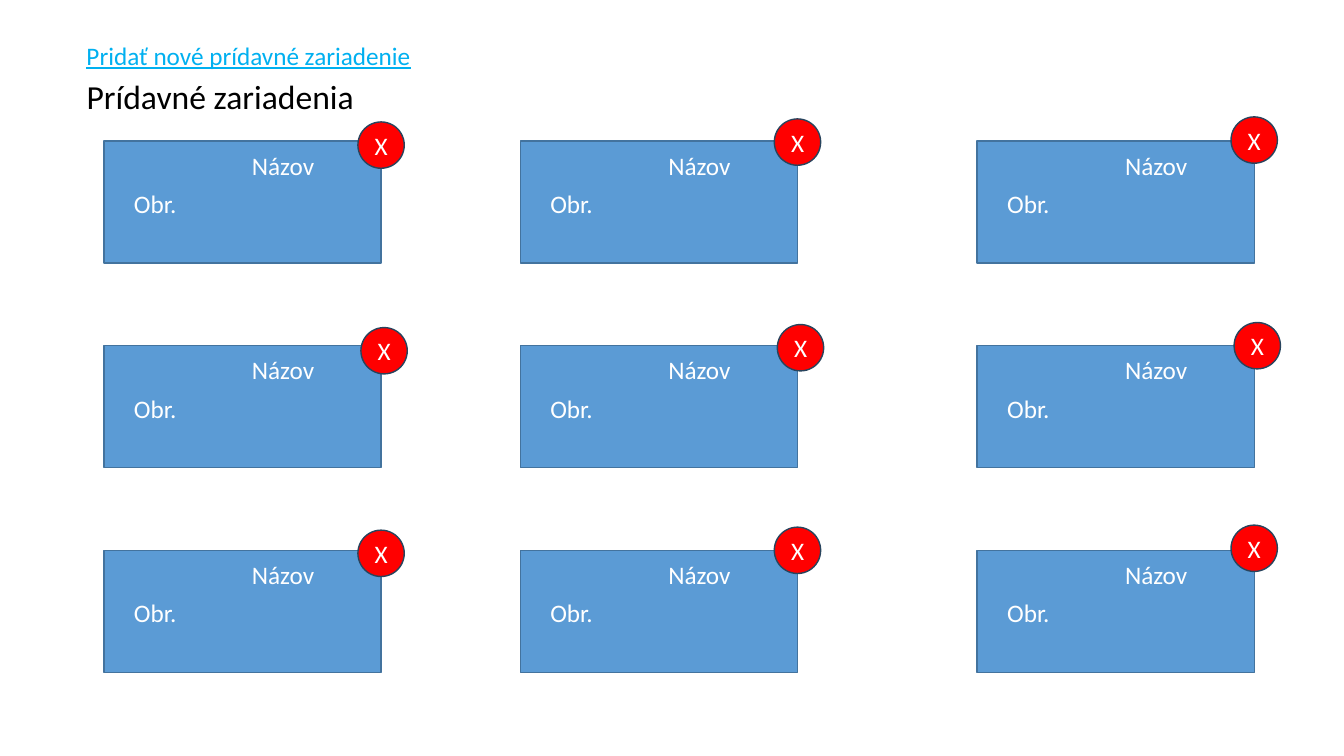
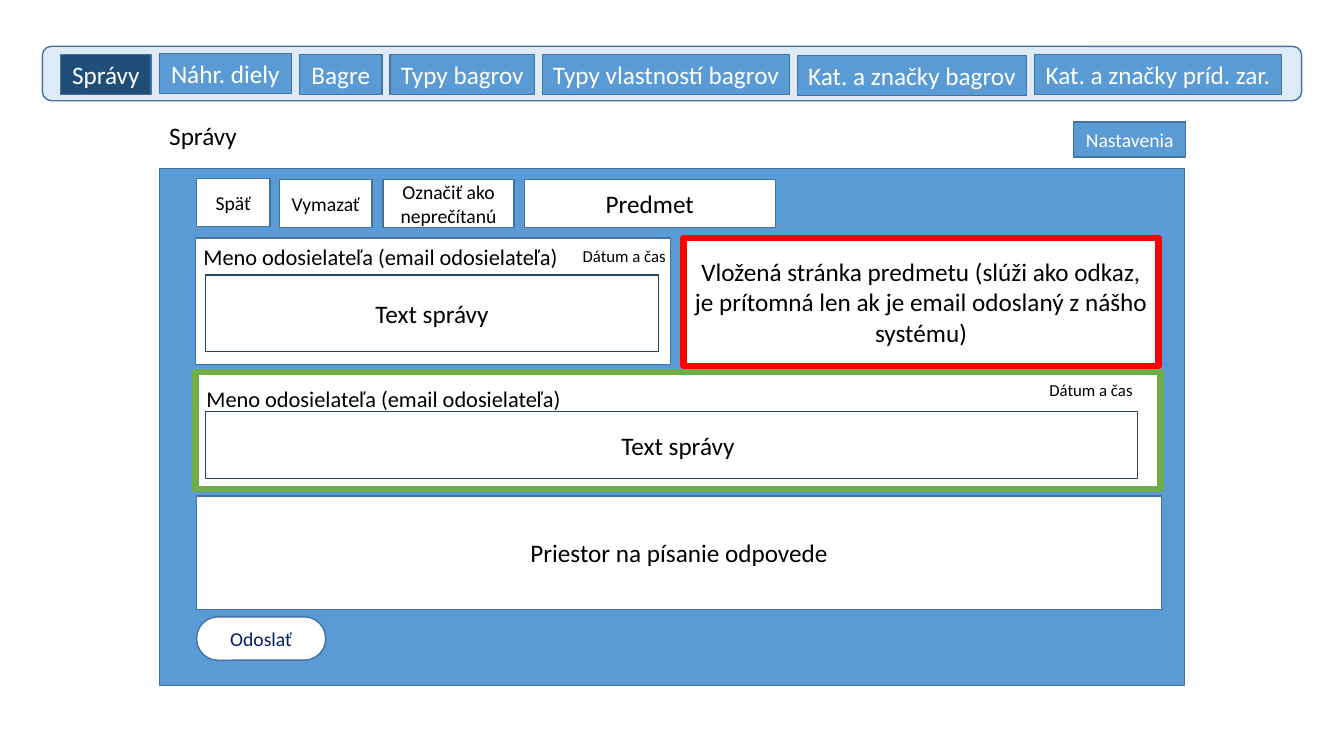
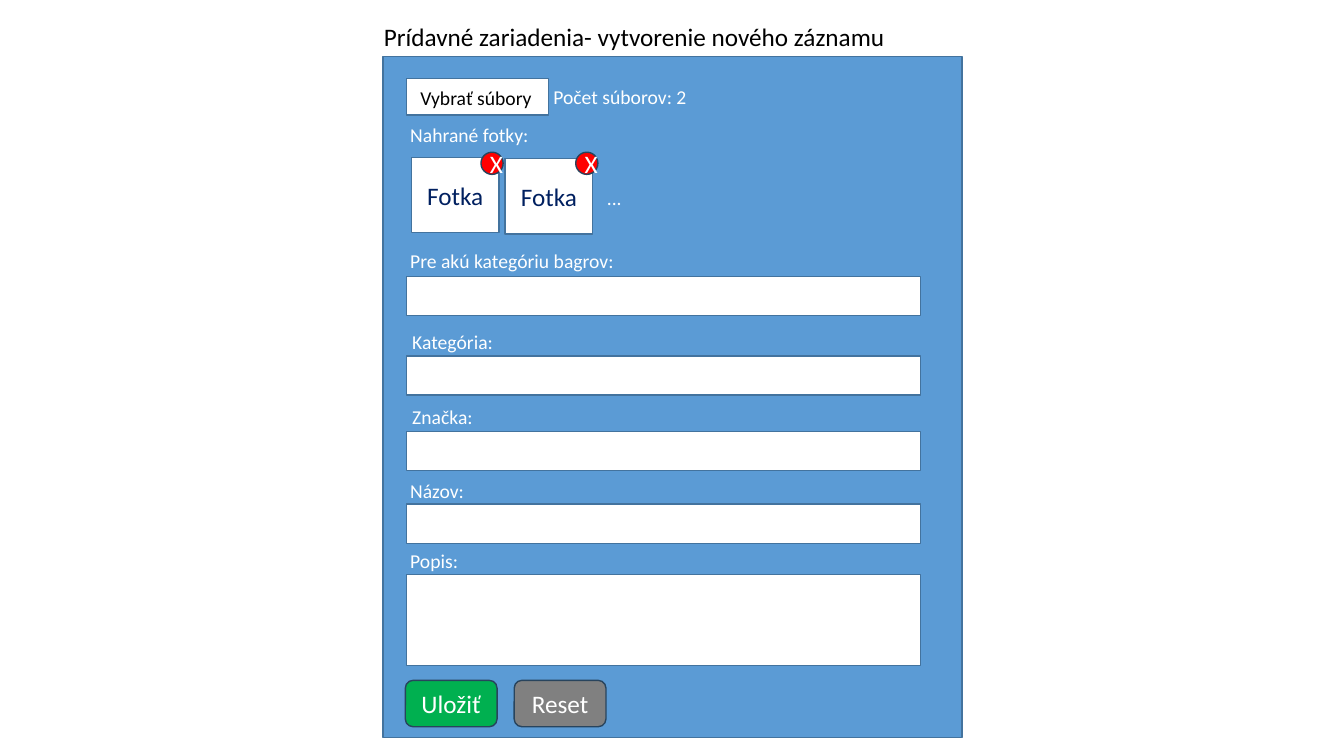
"""Build three wireframe slides of an excavator administration site."""
import pptx
import pptx.dml.color
import pptx.enum.shapes
import pptx.enum.text
import pptx.util

PX = 9144
BLUE, NAVY, PALE, WHITE, BLACK = "5B9BD5", "1F4E79", "DEEBF7", "FFFFFF", "000000"
RED, GREEN, LEAF, GREY, INK, SKY = "FF0000", "00B050", "70AD47", "808080", "002060", "00B0F0"
EDGE, DARK_EDGE = "43739E", "28445D"
SHAPES = pptx.enum.shapes.MSO_SHAPE


def rgb(value):
    """Turn a hex string into a colour."""
    return pptx.dml.color.RGBColor.from_string(value)


def assign(target, values):
    """Set every value of a dict as an attribute of the target."""
    for name, value in values.items():
        setattr(target, name, value)


class Wireframe:
    """Hold the deck, its style and the current slide."""

    def __init__(self, width, height):
        """Start an empty deck of the given size."""
        self.deck = pptx.Presentation()
        assign(self.deck, {"slide_width": width * PX, "slide_height": height * PX})
        self.page = None

    def add_page(self):
        """Add a blank slide and make it current."""
        self.page = self.deck.slides.add_slide(self.deck.slide_layouts[6])

    def add_text(self, box, text, size, color, align, **font):
        """Put one formatted line of text into a box."""
        para = box.text_frame.paragraphs[0]
        para.alignment = align
        span = para.add_run()
        span.text = text
        assign(span.font, {"name": "Calibri", "size": pptx.util.Pt(size), **font})
        span.font.color.rgb = rgb(color)

    def shape(self, left, top, width, height, text="", size=18, color=WHITE, fill=BLUE,
              edge=EDGE, weight=1, kind=SHAPES.RECTANGLE, **frame):
        """Draw an outlined shape with optional centred text."""
        box = self.page.shapes.add_shape(kind, left * PX, top * PX, width * PX, height * PX)
        box.shadow.inherit = False
        if fill:
            box.fill.solid()
            box.fill.fore_color.rgb = rgb(fill)
        else:
            box.fill.background()
        box.line.color.rgb = rgb(edge)
        box.line.width = pptx.util.Pt(weight)
        if text:
            assign(box.text_frame, {
                "word_wrap": True, "vertical_anchor": pptx.enum.text.MSO_ANCHOR.MIDDLE, **frame})
            self.add_text(box, text, size, color, pptx.enum.text.PP_ALIGN.CENTER)
        return box

    def label(self, left, top, width, height, text, size=18, color=BLACK, wrap=False, **font):
        """Place a line of plain text."""
        box = self.page.shapes.add_textbox(left * PX, top * PX, width * PX, height * PX)
        assign(box.text_frame, {
            "word_wrap": wrap, "auto_size": pptx.enum.text.MSO_AUTO_SIZE.SHAPE_TO_FIT_TEXT})
        self.add_text(box, text, size, color, pptx.enum.text.PP_ALIGN.LEFT, **font)

    def panel(self, left, top, width, height, text="", size=18, color=BLACK, **style):
        """Draw a white box with dark text."""
        return self.shape(left, top, width, height, text, size, color, fill=WHITE, **style)

    def remove_badge(self, left, top, size):
        """Draw a round red remove button."""
        self.shape(left, top, size, size, "X", fill=RED, edge=DARK_EDGE, kind=SHAPES.OVAL)

    def device_card(self, left, top):
        """Draw a device card with its picture and name captions."""
        self.shape(left, top, 275, 121)
        self.label(left + 20, top + 42, 118, 40, "Obr.", color=WHITE, wrap=True)
        self.label(left + 137, top + 4, 118, 40, "Názov", color=WHITE, wrap=True)

    def tabs(self, left, gap, tabs):
        """Draw a row of navigation tabs with equal gaps."""
        for text, top, width, fill in tabs:
            self.shape(left, top, width, 40, text, fill=fill)
            left += width + gap

    def field(self, label, label_left, label_top, label_width, top, height=39):
        """Draw a captioned empty form field."""
        self.panel(403, top, 510, height)
        self.label(label_left, label_top, label_width, 34, label, 14, WHITE)


def device_list(frame):
    """Build the overview of additional devices."""
    frame.add_page()
    for row, (shift, nudge) in enumerate([(0, 0), (3, 1), (0, -1)]):
        for left, rise in [(103, 19), (516, 22), (969, 24)]:
            top = 140 + row * 203
            frame.device_card(left, top)
            frame.remove_badge(left + 252 + shift, top - rise + nudge, 46)
    frame.label(76, 70, 288, 50, "Prídavné zariadenia", 24)
    frame.label(76, 35, 346, 40, "Pridať nové prídavné zariadenie", color=SKY, underline=True)


def message_detail(frame):
    """Build the message view with its navigation."""
    frame.add_page()
    frame.shape(42, 46, 1249, 54, fill=PALE, kind=SHAPES.ROUNDED_RECTANGLE)
    frame.tabs(60, 8, [
        ("Správy", 54, 90, NAVY), ("Náhr. diely", 53, 131, BLUE), ("Bagre", 54, 82, BLUE),
        ("Typy bagrov", 54, 143, BLUE), ("Typy vlastností bagrov", 54, 245, BLUE),
        ("Kat. a značky bagrov", 55, 227, BLUE), ("Kat. a značky príd. zar.", 54, 245, BLUE)])
    frame.label(158, 114, 88, 40, "Správy")
    frame.shape(1065, 121, 111, 35, "Nastavenia", 14)
    frame.shape(158, 167, 1017, 513)
    for left, top, width, text, size in [
            (195, 177, 73, "Späť", 14), (277, 178, 92, "Vymazať", 14),
            (380, 178, 130, "Označiť ako neprečítanú", 14), (520, 178, 249, "Predmet", 18)]:
        frame.panel(left, top, width, 48, text, size)
    frame.panel(194, 236, 471, 126)
    frame.panel(678, 236, 471, 127,
                "Vložená stránka predmetu (slúži ako odkaz, je prítomná len ak je email "
                "odoslaný z nášho systému)", edge=RED, weight=4.5)
    frame.panel(194, 369, 957, 116, "Text správy", edge=LEAF, weight=4.5, margin_top=35 * PX)
    frame.panel(195, 492, 957, 113, "Priestor na písanie odpovede")
    send = frame.panel(195, 612, 128, 43, "Odoslať", 14, INK, kind=SHAPES.ROUNDED_RECTANGLE)
    send.adjustments[0] = 0.49
    frame.shape(204, 273, 449, 76, "Text správy", color=BLACK, fill=None, edge=DARK_EDGE)
    frame.shape(204, 408, 924, 67, fill=None, edge=DARK_EDGE)
    for left, top, date_left, date_top in [(192, 236, 568, 239), (195, 377, 1031, 372)]:
        frame.label(left, top, 373, 37, "Meno odosielateľa (email odosielateľa)", 16, wrap=True)
        frame.label(date_left, date_top, 104, 30, "Dátum a čas", 12)


def device_form(frame):
    """Build the form for a new additional device."""
    frame.add_page()
    frame.label(371, 16, 523, 40, "Prídavné zariadenia- vytvorenie nového záznamu")
    frame.shape(380, 56, 574, 676)
    frame.panel(403, 78, 141, 36)
    frame.label(407, 80, 132, 34, "Vybrať súbory", 14)
    frame.label(539, 79, 153, 34, "Počet súborov: 2", 14, WHITE)
    frame.label(397, 117, 139, 34, "Nahrané fotky:", 14, WHITE)
    for left, top, badge_left in [(408, 156, 477), (501, 157, 571)]:
        frame.panel(left, top, 87, 75, "Fotka", color=INK)
        frame.remove_badge(badge_left, 151, 22)
    frame.label(592, 180, 35, 34, "...", 14, WHITE)
    frame.field("Pre akú kategóriu bagrov:", 397, 242, 224, 274)
    frame.field("Kategória:", 399, 322, 101, 353)
    frame.field("Značka:", 399, 397, 81, 428)
    frame.field("Názov:", 397, 470, 74, 500)
    frame.field("Popis:", 397, 540, 68, 570, 90)
    for left, text, fill in [(402, "Uložiť", GREEN), (510, "Reset", GREY)]:
        frame.shape(left, 675, 91, 46, text, fill=fill, edge=DARK_EDGE,
                    kind=SHAPES.ROUNDED_RECTANGLE)


def main():
    """Build and save the deck."""
    frame = Wireframe(1333, 750)
    for build in (device_list, message_detail, device_form):
        build(frame)
    frame.deck.save("out.pptx")


if __name__ == "__main__":
    main()
